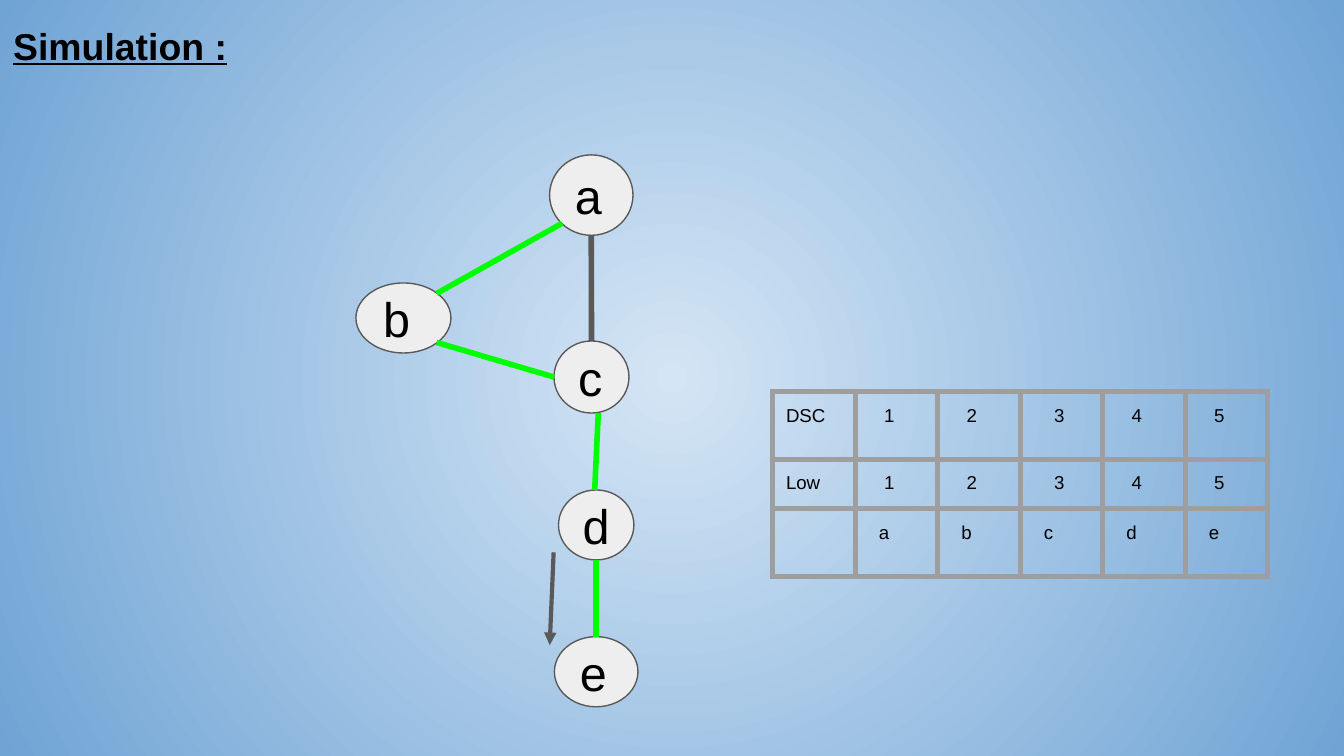
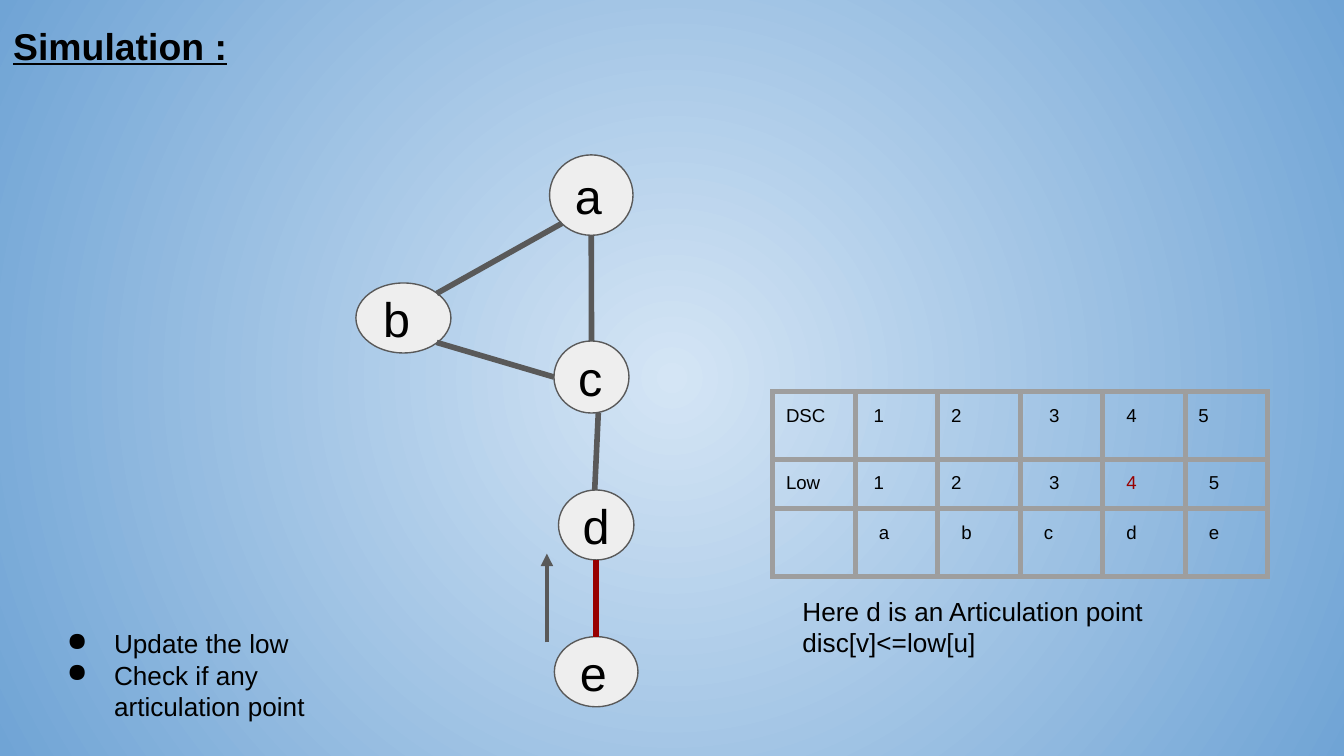
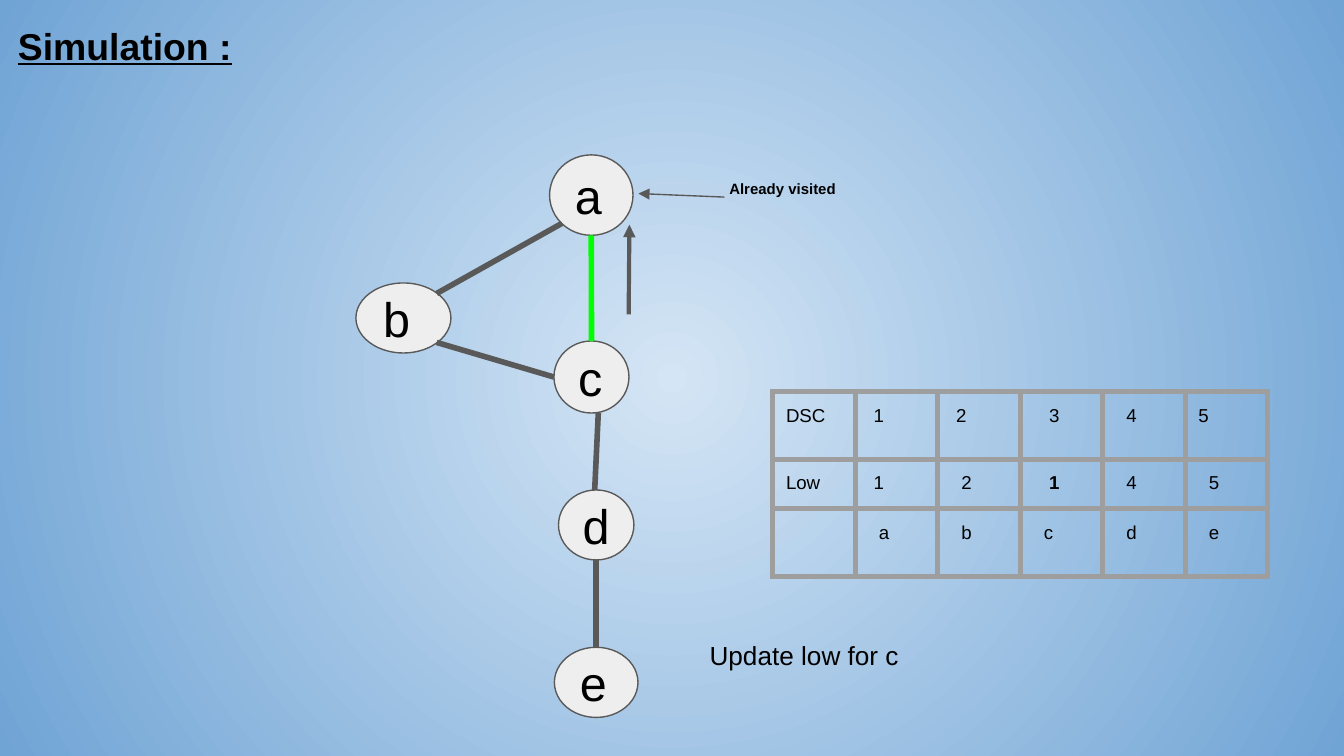
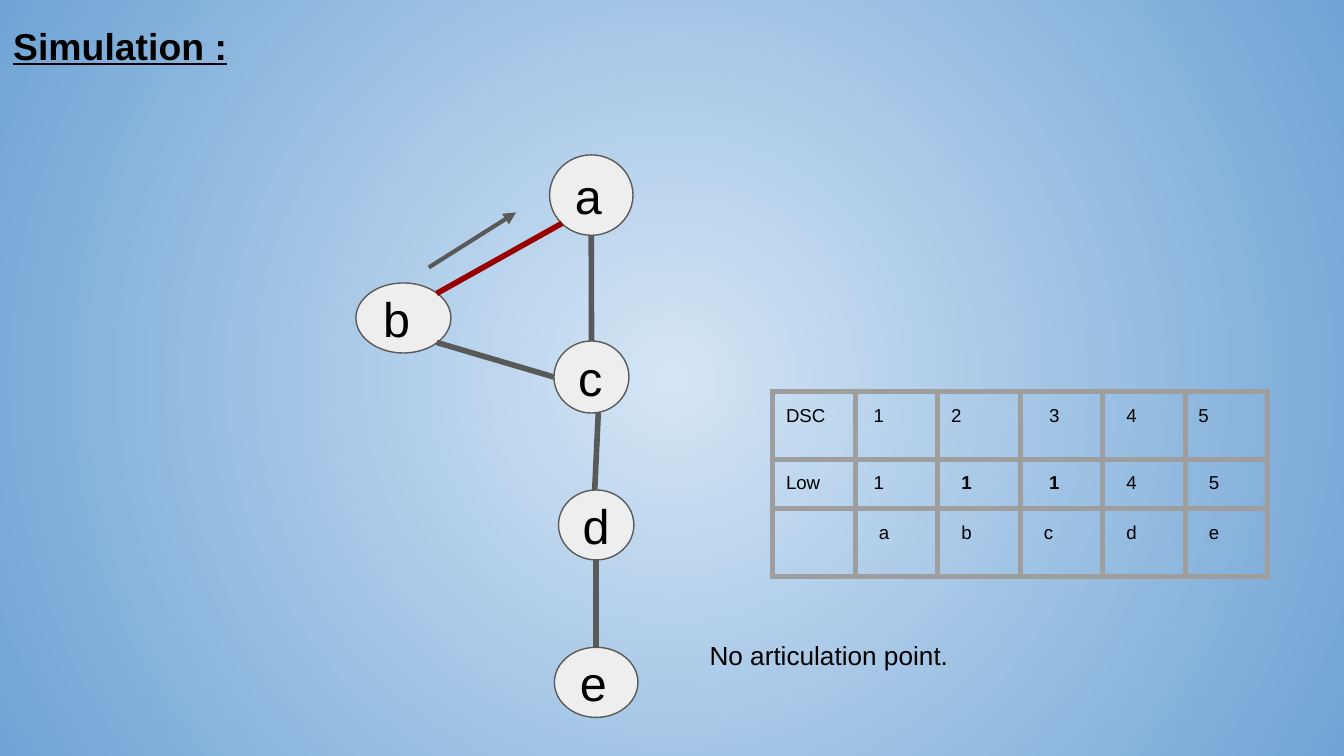
from dataclasses import dataclass

from pptx import Presentation
from pptx.dml.color import RGBColor
from pptx.enum.shapes import MSO_CONNECTOR, MSO_SHAPE
from pptx.enum.text import MSO_ANCHOR, PP_ALIGN
from pptx.oxml import parse_xml
from pptx.oxml.ns import nsdecls, qn
from pptx.util import Pt


@dataclass(frozen=True)
class Theme:
    font: str = "Arial"
    ink: str = "000000"
    glow: str = "D4E5F5"
    edge_of_page: str = "70A4D5"
    node: str = "EEEEEE"
    line: str = "595959"
    visited: str = "00FF00"
    alert: str = "980000"
    grid: str = "9E9E9E"
    title_size: float = 20
    node_size: float = 26
    body_size: float = 14
    table_size: float = 10
    label_size: float = 8
    thin: float = 0.75
    medium: float = 2.25
    thick: float = 3
    inset: float = 7.2


THEME = Theme()

# Graph: boxes are left, top, width, height in points
NODES = {
    "a": (294.4, 83, 44.7, 43.1),
    "b": (190.7, 151.6, 50.9, 37.5),
    "c": (296.8, 182.7, 40.2, 38.6),
    "d": (299.2, 262.5, 40.4, 37.5),
    "e": (297, 341.1, 44.8, 37.6),
}
LOW_E_TOP = 346.8

# Where each edge touches its nodes, as fractions of the node's box
NEAR, FAR = 0.15, 0.85
EDGES = {
    "ab": ((NEAR, FAR), (FAR, NEAR)),
    "ac": ((0.5, 1), (0.5, 0)),
    "bc": ((FAR, FAR), (0, 0.5)),
    "cd": ((0.59, 1), (0.48, 0)),
    "de": ((0.5, 1), (0.5, 0)),
}

# Table: value indents are counted in steps of one space
TABLE_LEFT, TABLE_TOP = 413.9, 210
COLUMN_WIDTH = 44.2
ROW_HEIGHTS = (36.2, 26, 36.2)
INDENT_STEP = 2.78
DISCOVERY = "12345"
LETTER_INDENTS = (2, 2, 2, 2, 2)

NOTE_BOX = (373, 335.5, 329.8, 31.7)

# Marks give the columns of the Low row that stand out
STEPS = [
    {
        "edges": dict.fromkeys(("ab", "bc", "cd", "de"), THEME.visited),
        "low": "12345",
        "indents": ((3, 3, 4, 3, 3), (3, 3, 4, 3, 3)),
        "arrows": [((296.6, 295.9), (294.5, 345.6), THEME.medium)],
    },
    {
        "edges": {"de": THEME.alert},
        "low": "12345",
        "indents": ((1, 0, 3, 2, 0), (1, 0, 3, 2, 2)),
        "red": {4},
        "arrows": [((293, 344.2), (293, 296.6), THEME.medium)],
        "notes": [((422.8, 311.8, 331.2, 65.5),
                   ["Here d is an Articulation point", "disc[v]<=low[u]"])],
        "tasks": ((18, 329, 166.3, 65.5),
                  ["Update the low", "Check if any articulation point"]),
    },
    {
        "title_left": 2.5,
        "low_e": True,
        "edges": {"ac": THEME.visited},
        "low": "12145",
        "indents": ((1, 1, 3, 2, 0), (1, 2, 3, 2, 2)),
        "bold": {3},
        "arrows": [((388.1, 105.6), (342, 103.7), THEME.thin),
                   ((336.8, 168.4), (337.2, 120.4), THEME.medium)],
        "notes": [(NOTE_BOX, ["Update low for c"])],
        "label": ((383.6, 88.6, 132.5, 31.7), ["Already visited"]),
    },
    {
        "low_e": True,
        "edges": {"ab": THEME.alert},
        "low": "11145",
        "indents": ((1, 0, 3, 2, 0), (1, 2, 3, 2, 2)),
        "bold": {2, 3},
        "arrows": [((229.7, 143.3), (276.5, 113.8), THEME.medium)],
        "notes": [(NOTE_BOX, ["No articulation point."])],
    },
]


def paint_background(page):
    page.element.cSld.insert(0, parse_xml(
        f'<p:bg {nsdecls("p", "a")}><p:bgPr><a:gradFill rotWithShape="1"><a:gsLst>'
        f'<a:gs pos="0"><a:srgbClr val="{THEME.glow}"/></a:gs>'
        f'<a:gs pos="100000"><a:srgbClr val="{THEME.edge_of_page}"/></a:gs></a:gsLst>'
        '<a:path path="circle"><a:fillToRect l="50000" t="50000" r="50000" b="50000"/>'
        '</a:path></a:gradFill><a:effectLst/></p:bgPr></p:bg>'))


def style(para, size, color=THEME.ink, bold=False, underline=False):
    font = para.font
    font.name, font.size = THEME.font, Pt(size)
    font.bold, font.underline = bold, underline
    font.color.rgb = RGBColor.from_string(color)


def set_insets(holder, left=THEME.inset, top=THEME.inset):
    holder.margin_left, holder.margin_top = Pt(left), Pt(top)
    holder.margin_right = holder.margin_bottom = Pt(THEME.inset)


def add_text(page, box, lines, size=THEME.body_size, top=THEME.inset, **look):
    frame = page.shapes.add_textbox(*map(Pt, box)).text_frame
    frame.word_wrap = True
    set_insets(frame, top=top)
    frame.text = "\n".join(lines)
    for para in frame.paragraphs:
        style(para, size, **look)
    return frame


def add_bullets(page, box, lines):
    for para in add_text(page, box, lines).paragraphs:
        props = para._p.get_or_add_pPr()
        props.set("marL", str(Pt(36)))
        props.set("indent", str(Pt(-25.2)))
        bullet = (f'<a:buClr {nsdecls("a")}><a:srgbClr val="{THEME.ink}"/></a:buClr>',
                  f'<a:buChar {nsdecls("a")} char="●"/>')
        for place, xml in enumerate(bullet):
            props.insert(place, parse_xml(xml))


def add_line(page, start, end, color, width, arrow=False):
    link = page.shapes.add_connector(MSO_CONNECTOR.STRAIGHT, *map(Pt, (*start, *end)))
    link.line.color.rgb = RGBColor.from_string(color)
    link.line.width = Pt(width)
    props = link.element.spPr
    if arrow:
        props.find(qn("a:ln")).append(
            parse_xml(f'<a:tailEnd {nsdecls("a")} type="triangle"/>'))
    props.append(parse_xml(f'<a:effectLst {nsdecls("a")}/>'))


def add_node(page, name, box):
    node = page.shapes.add_shape(MSO_SHAPE.FLOWCHART_CONNECTOR, *map(Pt, box))
    node.shadow.inherit = False
    node.fill.solid()
    node.fill.fore_color.rgb = RGBColor.from_string(THEME.node)
    node.line.color.rgb = RGBColor.from_string(THEME.line)
    node.line.width = Pt(THEME.thin)
    frame = node.text_frame
    frame.vertical_anchor = MSO_ANCHOR.MIDDLE
    frame.word_wrap = True
    set_insets(frame)
    frame.text = name
    para = frame.paragraphs[0]
    para.alignment = PP_ALIGN.LEFT
    style(para, THEME.node_size)


def add_graph(page, edge_colors, low_e):
    boxes = dict(NODES)
    if low_e:
        left, _, width, height = boxes["e"]
        boxes["e"] = (left, LOW_E_TOP, width, height)
    for name, box in boxes.items():
        add_node(page, name, box)
    for edge, anchors in EDGES.items():
        start, end = [
            (boxes[name][0] + across * boxes[name][2],
             boxes[name][1] + down * boxes[name][3])
            for name, (across, down) in zip(edge, anchors)]
        add_line(page, start, end, edge_colors.get(edge, THEME.line), THEME.thick)


def set_borders(cell):
    props = cell._tc.get_or_add_tcPr()
    for place, side in enumerate(("lnL", "lnR", "lnT", "lnB")):
        props.insert(place, parse_xml(
            f'<a:{side} {nsdecls("a")} w="{Pt(THEME.thick)}"><a:solidFill>'
            f'<a:srgbClr val="{THEME.grid}"/></a:solidFill></a:{side}>'))


def add_table(page, step):
    rows = [("DSC", *DISCOVERY), ("Low", *step["low"]), ("", *NODES)]
    indents = [(0, *row) for row in (*step["indents"], LETTER_INDENTS)]
    columns = len(rows[0])
    table = page.shapes.add_table(
        len(rows), columns, Pt(TABLE_LEFT), Pt(TABLE_TOP),
        Pt(COLUMN_WIDTH * columns), Pt(sum(ROW_HEIGHTS))).table
    table.first_row = table.horz_banding = False
    for column in table.columns:
        column.width = Pt(COLUMN_WIDTH)
    for r, height in enumerate(ROW_HEIGHTS):
        table.rows[r].height = Pt(height)
        for c, text in enumerate(rows[r]):
            cell = table.cell(r, c)
            set_insets(cell, left=THEME.inset + INDENT_STEP * indents[r][c])
            cell.fill.background()
            set_borders(cell)
            if text:
                cell.text = text
                is_low = r == 1
                red = is_low and c in step.get("red", ())
                style(cell.text_frame.paragraphs[0], THEME.table_size,
                      color=THEME.alert if red else THEME.ink,
                      bold=is_low and c in step.get("bold", ()))


def add_step(deck, step):
    page = deck.slides.add_slide(deck.slide_layouts[6])
    paint_background(page)
    add_text(page, (step.get("title_left", 0), 5, 560.9, 72.7), ["Simulation :"],
             THEME.title_size, bold=True, underline=True)
    add_graph(page, step["edges"], step.get("low_e", False))
    add_table(page, step)
    for start, end, width in step["arrows"]:
        add_line(page, start, end, THEME.line, width, arrow=True)
    for box, lines in step.get("notes", ()):
        add_text(page, box, lines)
    if "tasks" in step:
        add_bullets(page, *step["tasks"])
    if "label" in step:
        add_text(page, *step["label"], THEME.label_size, top=12.6, bold=True)


def main():
    deck = Presentation()
    deck.slide_width, deck.slide_height = Pt(720), Pt(405)
    for step in STEPS:
        add_step(deck, step)
    deck.save("out.pptx")


if __name__ == "__main__":
    main()
